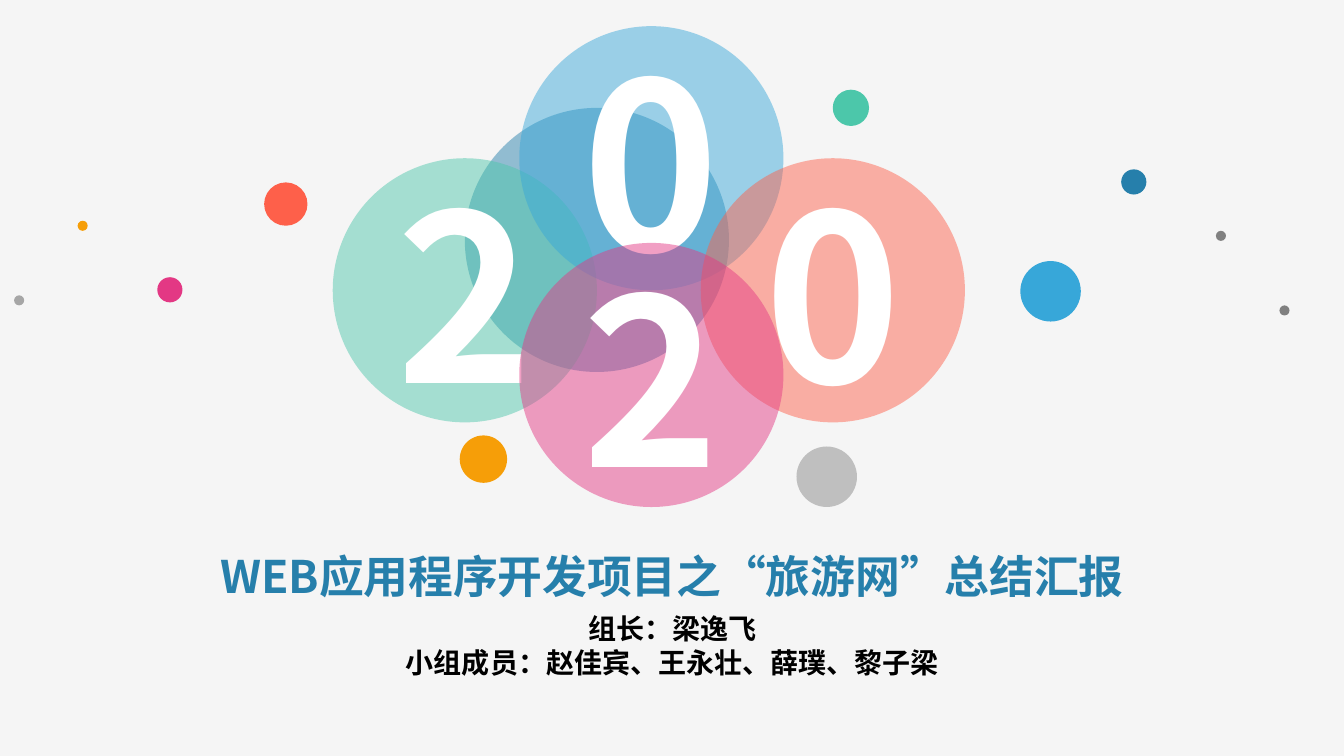
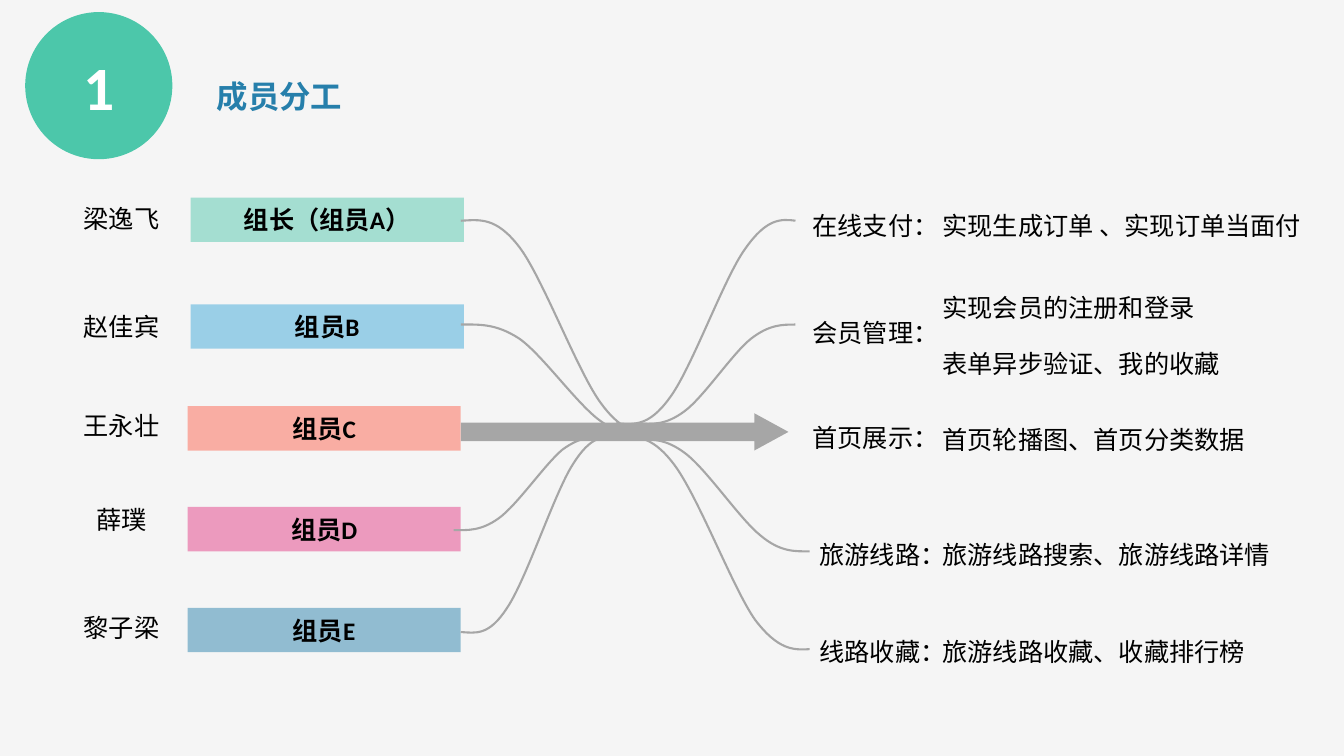
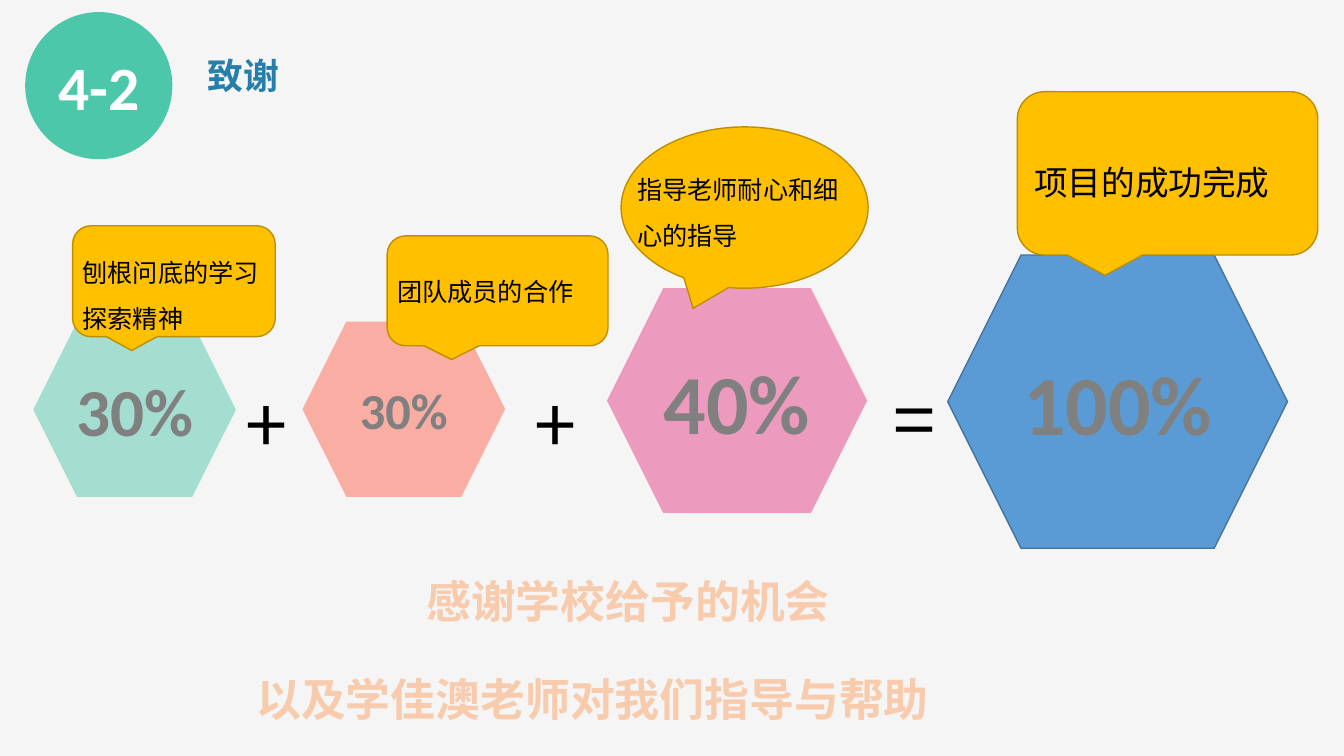
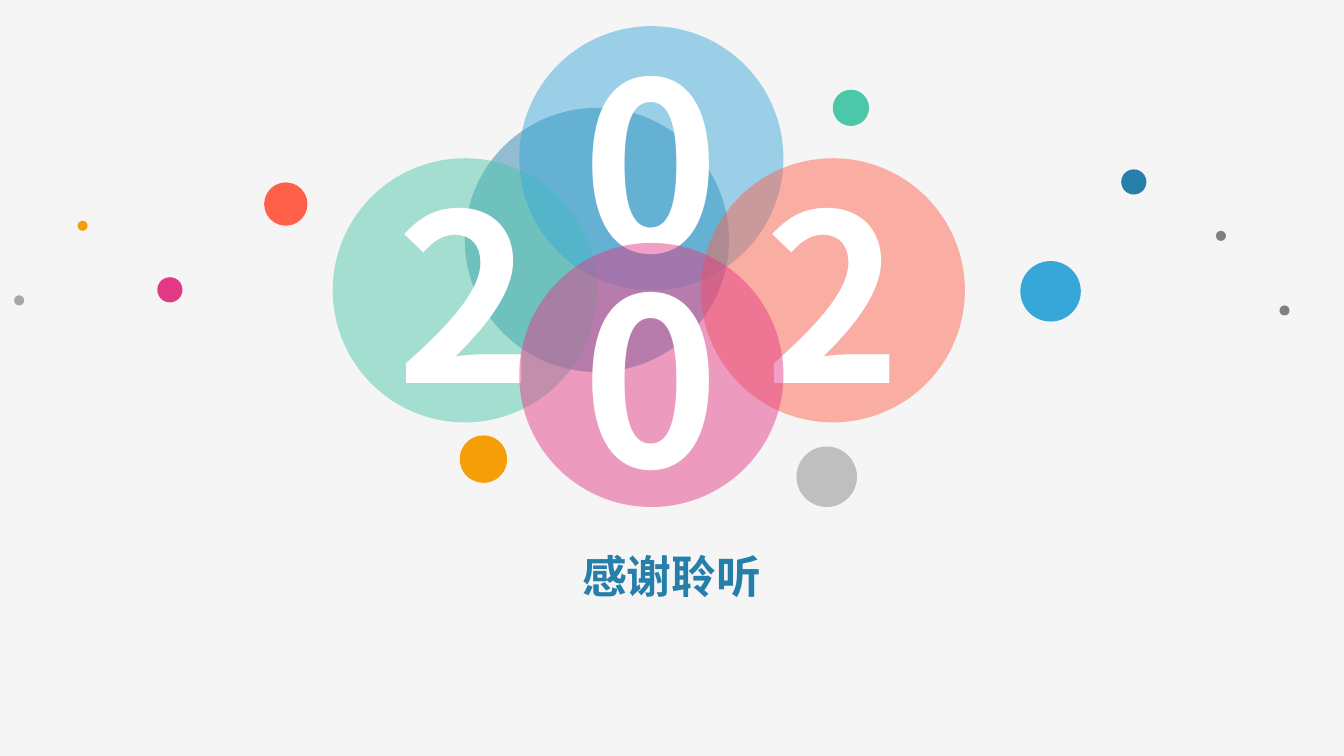
"""Build the four-slide project summary deck."""
import dataclasses

import pptx
import pptx.dml.color
import pptx.enum.shapes
import pptx.enum.text
import pptx.oxml
import pptx.oxml.ns
import pptx.util
from pptx.util import Inches


@dataclasses.dataclass(frozen=True)
class Theme:
    paper: str = "F5F5F5"
    white: str = "FFFFFF"
    black: str = "000000"
    green: str = "4CC7AA"
    sky: str = "37A7D9"
    coral: str = "FE604A"
    pink: str = "E33884"
    navy: str = "267FAB"
    orange: str = "F69E08"
    light_gray: str = "BFBFBF"
    gray: str = "A6A6A6"
    dark_gray: str = "808080"
    gold: str = "FFC000"
    gold_edge: str = "BD8E00"
    blue: str = "5B9BD5"
    blue_edge: str = "43739E"
    peach: str = "F8CBAD"
    latin: str = "Calibri"
    heading: str = "Noto Sans CJK SC"
    body: str = "Noto Sans CJK JP"
    body_size: int = 18
    member_size: int = 20
    result_size: int = 24
    thanks_size: int = 32
    title_size: int = 40
    badge_size: int = 44
    operator_size: int = 54
    total_size: int = 60
    digit_size: int = 166
    veil: int = 48
    tight: float = 1.18
    loose: float = 1.82


theme = Theme()
shapes = pptx.enum.shapes.MSO_SHAPE
align = pptx.enum.text.PP_ALIGN
rgb = pptx.dml.color.RGBColor.from_string
qn = pptx.oxml.ns.qn


def add_box(slide, kind, place, fill=None, opacity=100, edge=None):
    """Add a preset shape, or a plain text box when kind is None."""
    lengths = [Inches(value) for value in place]
    if kind is None:
        return slide.shapes.add_textbox(*lengths)
    shape = slide.shapes.add_shape(kind, *lengths)
    shape.shadow.inherit = False
    shape.fill.solid()
    shape.fill.fore_color.rgb = rgb(fill)
    if opacity < 100:
        color = shape._element.spPr.find(qn("a:solidFill")).find(qn("a:srgbClr"))
        color.append(color.makeelement(qn("a:alpha"), {"val": str(opacity * 1000)}))
    if edge:
        shape.line.color.rgb = rgb(edge)
        shape.line.width = pptx.util.Pt(1)
    else:
        shape.line.fill.background()
    return shape


def write(shape, text, size, font=theme.body, color=theme.black, bold=False,
          alignment=align.LEFT, spacing=None, wrap=True, small_caps=False):
    """Fill a shape with formatted paragraphs, one per line of text."""
    frame = shape.text_frame
    frame.text = text
    frame.word_wrap = wrap
    if small_caps:
        frame.margin_left = frame.margin_right = Inches(0.08)
        frame.margin_top = frame.margin_bottom = Inches(0.04)
    for number, paragraph in enumerate(frame.paragraphs):
        paragraph.alignment = alignment
        if spacing:
            paragraph.line_spacing = pptx.util.Pt(round(size * spacing))
        if spacing == theme.loose and number:
            paragraph.space_before = pptx.util.Pt(7)
        for run in paragraph.runs:
            run.font.size = pptx.util.Pt(size)
            run.font.bold = bold
            run.font.name = font
            run.font.color.rgb = rgb(color)
            properties = run.font._element
            if small_caps:
                properties.set("cap", "small")
            east_asian = properties.makeelement(qn("a:ea"), {
                "typeface": theme.heading if font == theme.latin else font})
            properties.find(qn("a:latin")).addnext(east_asian)


presentation = pptx.Presentation()
presentation.slide_width = Inches(13.33)
presentation.slide_height = Inches(7.5)
background = presentation.slide_master.background.fill
background.solid()
background.fore_color.rgb = rgb(theme.paper)
cover, team, thanks, closing = [
    presentation.slides.add_slide(presentation.slide_layouts[6]) for _ in range(4)]

year_circles = [
    (3.3, 1.57, theme.green), (5.15, 0.26, theme.sky),
    (6.95, 1.57, theme.coral), (5.15, 2.41, theme.pink)]
dots = [
    (8.26, 0.89, 0.36, theme.green), (7.9, 4.43, 0.6, theme.light_gray),
    (10.12, 2.59, 0.6, theme.sky), (2.62, 1.81, 0.43, theme.coral),
    (4.56, 4.32, 0.47, theme.orange), (1.56, 2.75, 0.25, theme.pink),
    (0.77, 2.19, 0.1, theme.orange), (0.14, 2.93, 0.1, theme.gray),
    (11.12, 1.68, 0.25, theme.navy), (12.69, 3.03, 0.1, theme.dark_gray),
    (12.06, 2.29, 0.1, theme.dark_gray)]
for slide, digits, title, place in [
        (cover, "2002", "web应用程序开发项目之“旅游网”总结汇报", (1.07, 5.29, 11.19, 0.74)),
        (closing, "2020", "感谢聆听", (5.47, 5.29, 2.38, 0.74))]:
    add_box(slide, shapes.OVAL, (4.61, 1.07, 2.62, 2.62), theme.navy, theme.veil)
    for digit, (left, top, color) in zip(digits, year_circles):
        circle = add_box(slide, shapes.OVAL, (left, top, 2.62, 2.62), color, theme.veil)
        write(circle, digit, theme.digit_size, theme.heading, theme.white, True, align.CENTER)
    for left, top, diameter, color in dots:
        add_box(slide, shapes.OVAL, (left, top, diameter, diameter), color)
    write(add_box(slide, None, place), title, theme.title_size, theme.heading, theme.navy,
          True, align.CENTER, wrap=False, small_caps=True)
write(add_box(cover, None, (1.97, 6.02, 9.4, 0.77)),
      "组长：梁逸飞\n小组成员：赵佳宾、王永壮、薛璞、黎子梁", theme.member_size, theme.latin,
      bold=True, alignment=align.CENTER, spacing=theme.tight)

for slide, number, title, size, place in [
        (team, "1", "成员分工", 28, (2.07, 0.65, 5.75, 0.54)),
        (thanks, "4-2", "致谢", 32, (1.98, 0.4, 5.75, 0.61))]:
    badge = add_box(slide, shapes.OVAL, (0.25, 0.12, 1.46, 1.46), theme.green)
    write(badge, number, theme.badge_size, theme.latin, theme.white, True, align.CENTER,
          wrap=False)
    write(add_box(slide, None, place), title, size, theme.heading, theme.navy, True,
          small_caps=True)

for name, name_top, role, left, top, color in [
        ("梁逸飞", 1.98, "组长（组员A）", 1.89, 1.96, theme.green),
        ("赵佳宾", 3.05, "组员B", 1.89, 3.02, theme.sky),
        ("王永壮", 4.03, "组员C", 1.86, 4.03, theme.coral),
        ("薛璞", 4.96, "组员D", 1.86, 5.03, theme.pink),
        ("黎子梁", 6.03, "组员E", 1.86, 6.03, theme.navy)]:
    bar = add_box(team, shapes.RECTANGLE, (left, top, 2.71, 0.44), color, theme.veil)
    write(bar, role, theme.body_size, theme.latin, bold=True, alignment=align.CENTER)
    write(add_box(team, None, (0.55, name_top, 1.31, 0.4)), name, theme.body_size,
          alignment=align.CENTER, spacing=theme.tight)

curves = [
    [(4.57, 2.19), (4.76, 2.18), (4.92, 2.15), (5.15, 2.45), (5.38, 2.75),
     (5.73, 3.69), (5.96, 4), (6.18, 4.3), (6.34, 4.3), (6.49, 4.28)],
    [(4.57, 3.22), (4.76, 3.22), (4.92, 3.21), (5.15, 3.36), (5.38, 3.52),
     (5.73, 4.02), (5.96, 4.18), (6.18, 4.34), (6.34, 4.34), (6.49, 4.33)],
    [(4.57, 6.27), (4.72, 6.28), (4.85, 6.31), (5.03, 6.03), (5.22, 5.75),
     (5.5, 4.89), (5.68, 4.61), (5.86, 4.32), (5.98, 4.33), (6.11, 4.34)],
    [(4.5, 5.26), (4.64, 5.26), (4.77, 5.27), (4.95, 5.14), (5.13, 5.01),
     (5.41, 4.6), (5.58, 4.46), (5.76, 4.33), (5.88, 4.33), (6, 4.34)],
    [(6.11, 4.2), (6.28, 4.21), (6.43, 4.24), (6.64, 3.95), (6.86, 3.66),
     (7.18, 2.76), (7.39, 2.47), (7.6, 2.17), (7.74, 2.17), (7.89, 2.19)],
    [(6.28, 4.36), (6.45, 4.36), (6.59, 4.34), (6.8, 4.5), (7.01, 4.66),
     (7.34, 5.15), (7.54, 5.31), (7.74, 5.48), (7.89, 5.47), (8.03, 5.47)],
    [(6.11, 4.34), (6.29, 4.33), (6.45, 4.3), (6.68, 4.6), (6.92, 4.91),
     (7.27, 5.84), (7.49, 6.15), (7.72, 6.45), (7.87, 6.45), (8.03, 6.44)],
    [(6.32, 4.2), (6.47, 4.21), (6.6, 4.22), (6.79, 4.08), (6.98, 3.94),
     (7.27, 3.5), (7.45, 3.36), (7.63, 3.22), (7.76, 3.22), (7.89, 3.22)]]
for curve in curves:
    start, *controls = [(Inches(x), Inches(y)) for x, y in curve]
    builder = team.shapes.build_freeform(*start)
    builder.add_line_segments(controls, close=False)
    strand = builder.convert_to_shape()
    segments = list(strand._element.iter(qn("a:lnTo")))
    for first in range(0, len(segments), 3):
        bezier = segments[first].makeelement(qn("a:cubicBezTo"), {})
        segments[first].addprevious(bezier)
        for segment in segments[first:first + 3]:
            bezier.append(segment[0])
            segment.getparent().remove(segment)
    strand.shadow.inherit = False
    strand.fill.background()
    strand.line.color.rgb = rgb(theme.gray)
    strand.line.width = pptx.util.Pt(1.5)
arrow = add_box(team, shapes.RIGHT_ARROW, (4.57, 4.1, 3.25, 0.37), theme.gray)
arrow.adjustments[1] = 0.915

for module, left, top, width, duty, duty_top, duty_height in [
        ("在线支付：", 7.96, 1.88, 4.46, "实现生成订单 、实现订单当面付", 1.88, 0.55),
        ("会员管理：", 7.96, 2.94, 4.46, "实现会员的注册和登录\n表单异步验证、我的收藏", 2.69, 1.13),
        ("首页展示：", 7.96, 3.98, 4.07, "首页轮播图、首页分类数据", 4, 0.55),
        ("旅游线路：", 8.03, 5.14, 4.07, "旅游线路搜索、旅游线路详情", 5.14, 0.55),
        ("线路收藏：", 8.03, 6.11, 4.07, "旅游线路收藏、收藏排行榜", 6.11, 0.55)]:
    write(add_box(team, None, (left, top, width, 0.55)), module, theme.body_size,
          spacing=theme.loose)
    write(add_box(team, None, (9.25, duty_top, 4.07, duty_height)), duty, theme.body_size,
          spacing=theme.loose)

for place, share, size, color, opacity, edge in [
        ((0.33, 3.2, 2.01, 1.73), "30%", 48, theme.green, theme.veil, None),
        ((6.02, 2.86, 2.58, 2.23), "40%", theme.total_size, theme.pink, theme.veil, None),
        ((3, 3.19, 2.01, 1.74), "30%", 36, theme.coral, theme.veil, None),
        ((9.4, 2.53, 3.37, 2.91), "100%", theme.total_size, theme.blue, 100, theme.blue_edge)]:
    hexagon = add_box(thanks, shapes.HEXAGON, place, color, opacity, edge)
    write(hexagon, share, size, theme.latin, theme.dark_gray, True, align.CENTER, wrap=False)

rounded = shapes.ROUNDED_RECTANGULAR_CALLOUT
for kind, place, reason, text_place, size in [
        (rounded, (0.72, 2.24, 2.01, 1.1), "刨根问底的学习探索精神",
         (0.72, 2.34, 2.01, 1.01), theme.body_size),
        (rounded, (3.84, 2.34, 2.19, 1.09), "团队成员的合作",
         (3.84, 2.53, 3.17, 0.55), theme.body_size),
        (shapes.OVAL_CALLOUT, (6.16, 1.26, 2.45, 1.6), "指导老师耐心和细心的指导",
         (6.22, 1.52, 2.38, 1.01), theme.body_size),
        (rounded, (10.09, 0.91, 2.98, 1.62), "项目的成功完成",
         (10.16, 1.35, 3.17, 0.71), theme.result_size)]:
    add_box(thanks, kind, place, theme.gold, edge=theme.gold_edge)
    write(add_box(thanks, None, text_place), reason, size, spacing=theme.loose)

for sign, left, top in [("+", 2.34, 3.24), ("+", 5.2, 3.24), ("=", 8.76, 3.19)]:
    write(add_box(thanks, None, (left, top, 0.45, 1.46)), sign, theme.operator_size,
          spacing=theme.loose, wrap=False)

for line, left, top in [("感谢学校给予的机会", 2.73, 5.65), ("以及学佳澳老师对我们指导与帮助", 2.38, 6.62)]:
    write(add_box(thanks, None, (left, top, 7, 0.64)), line, theme.thanks_size, theme.heading,
          theme.peach, True, align.CENTER, spacing=theme.tight)

presentation.save("out.pptx")
